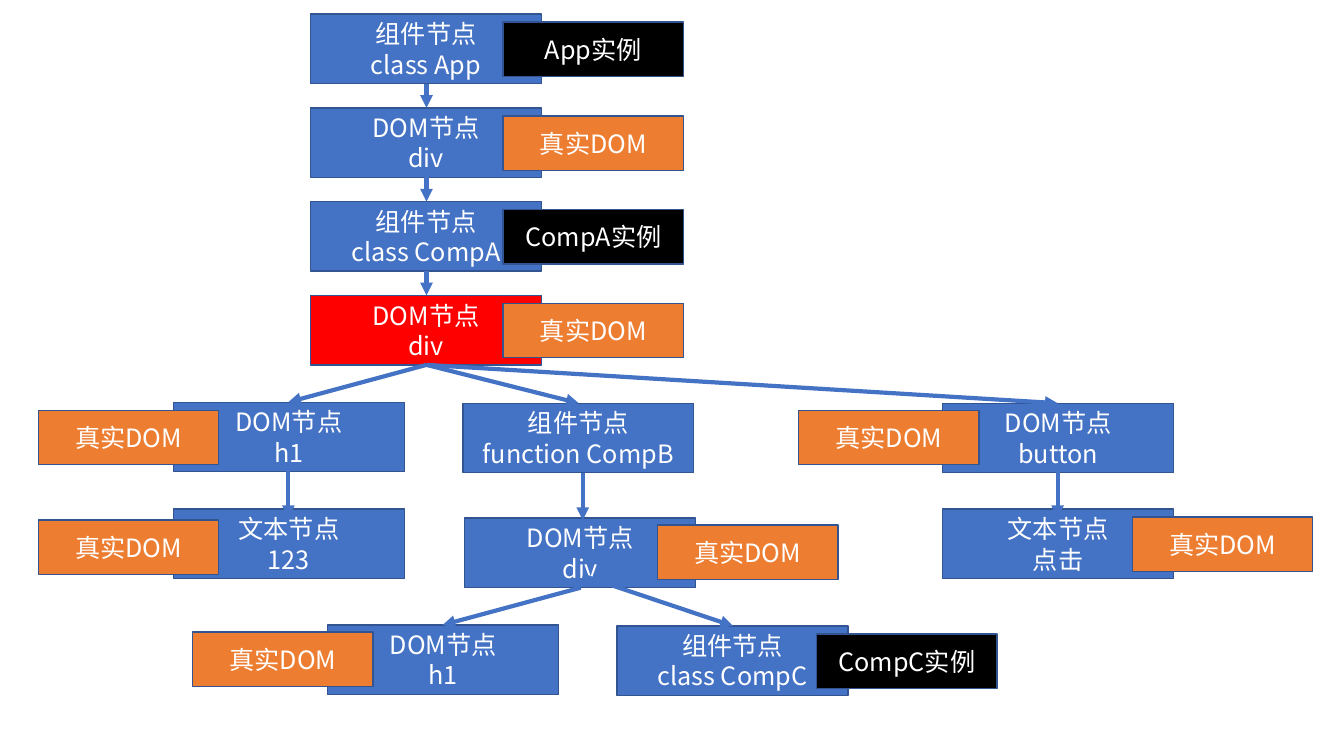
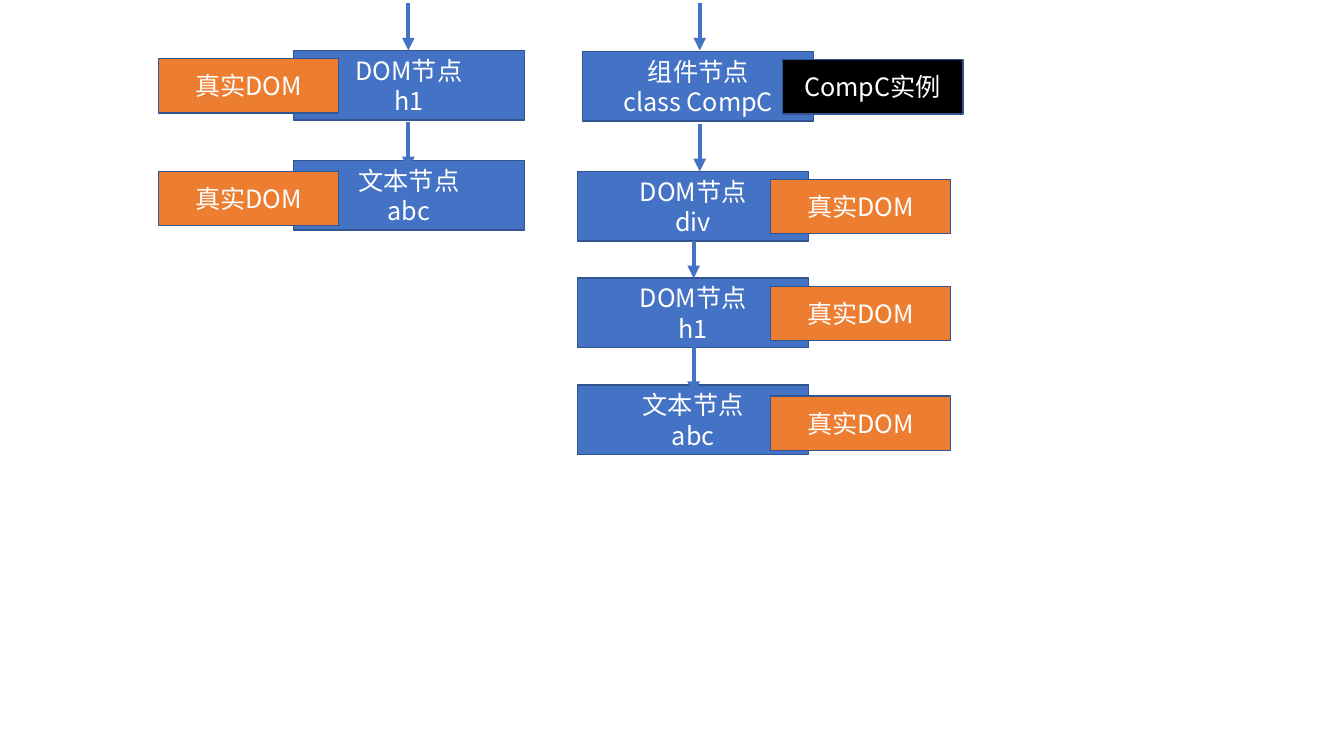
from lxml import etree
from pptx import Presentation
from pptx.dml.color import RGBColor
from pptx.enum.shapes import MSO_CONNECTOR, MSO_SHAPE
from pptx.enum.text import MSO_ANCHOR, PP_ALIGN
from pptx.oxml.ns import qn
from pptx.util import Inches, Pt

RECT = MSO_SHAPE.RECTANGLE
STRAIGHT = MSO_CONNECTOR.STRAIGHT
CENTER = PP_ALIGN.CENTER
MIDDLE = MSO_ANCHOR.MIDDLE

BLUE = RGBColor(0x44, 0x72, 0xC4)
NAVY = RGBColor(0x32, 0x54, 0x91)
RED = RGBColor(0xFF, 0x00, 0x00)
ORANGE = RGBColor(0xED, 0x7D, 0x31)
BLACK = RGBColor(0x00, 0x00, 0x00)
WHITE = RGBColor(0xFF, 0xFF, 0xFF)

COMP, DOM, TEXT = "组件节点", "DOM节点", "文本节点"
NODE_W, NODE_H = 2.29, 0.69
TAG_W, TAG_H = 1.79, 0.54


class Diagram:
    font = "Noto Sans CJK SC"
    size = Pt(18)

    def __init__(self, prs):
        self.prs = prs
        self.slide = None

    def new_slide(self):
        self.slide = self.prs.slides.add_slide(self.prs.slide_layouts[6])

    def box(self, x, y, w, h, lines, fill):
        sp = self.slide.shapes.add_shape(RECT, Inches(x), Inches(y), Inches(w), Inches(h))
        sp.shadow.inherit = False
        sp.fill.solid()
        sp.fill.fore_color.rgb = fill
        sp.line.color.rgb = NAVY
        sp.line.width = Pt(1)
        tf = sp.text_frame
        tf.word_wrap = True
        tf.vertical_anchor = MIDDLE
        for i, line in enumerate(lines):
            p = tf.add_paragraph() if i else tf.paragraphs[0]
            p.alignment = CENTER
            r = p.add_run()
            r.text = line
            r.font.size = self.size
            r.font.color.rgb = WHITE
            r.font.name = self.font
            ea = etree.SubElement(r.font._element, qn("a:ea"))
            ea.set("typeface", self.font)

    def node(self, x, y, kind, name, fill=BLUE):
        self.box(x, y, NODE_W, NODE_H, [kind, name], fill)

    def real_dom(self, x, y):
        self.box(x, y, TAG_W, TAG_H, ["真实DOM"], ORANGE)

    def instance(self, x, y, name):
        self.box(x, y, TAG_W, TAG_H, [name + "实例"], BLACK)

    def arrow(self, x1, y1, x2, y2):
        line = self.slide.shapes.add_connector(
            STRAIGHT, Inches(x1), Inches(y1), Inches(x2), Inches(y2))
        line.line.color.rgb = BLUE
        line.line.width = Pt(3)
        ln = line.line._get_or_add_ln()
        etree.SubElement(ln, qn("a:tailEnd")).set("type", "triangle")
        etree.SubElement(line._element.spPr, qn("a:effectLst"))

    def down(self, x, y, length=0.47):
        self.arrow(x, y, x, y + length)


def full_tree(d):
    d.new_slide()
    trunk_x, trunk_y, step = 3.08, 0.14, 0.93
    trunk = [
        (COMP, "class App", "App", BLUE),
        (DOM, "div", None, BLUE),
        (COMP, "class CompA", "CompA", BLUE),
        (DOM, "div", None, RED),
    ]
    for i, (kind, name, owner, fill) in enumerate(trunk):
        y = trunk_y + i * step
        d.node(trunk_x, y, kind, name, fill)
        if i:
            d.down(4.23, y - step + NODE_H, step - NODE_H)
        if owner:
            d.instance(4.99, y + 0.08, owner)
        else:
            d.real_dom(4.99, y + 0.08)

    for x, y, kind, name in [
        (1.72, 3.99, DOM, "h1"),
        (4.59, 4, COMP, "function CompB"),
        (9.35, 4, DOM, "button"),
        (1.72, 5.05, TEXT, "123"),
        (4.61, 5.14, DOM, "div"),
        (9.35, 5.05, TEXT, "点击"),
        (3.25, 6.2, DOM, "h1"),
        (6.12, 6.21, COMP, "class CompC"),
    ]:
        d.node(x, y, kind, name)

    for x, y in [(2.86, 3.99), (5.74, 4), (10.49, 4)]:
        d.arrow(4.23, 3.62, x, y)
    for x, y in [(2.86, 4.67), (5.78, 4.69), (10.49, 4.67)]:
        d.down(x, y)
    d.arrow(5.76, 5.83, 4.39, 6.2)
    d.arrow(5.78, 5.71, 7.27, 6.21)

    for x, y in [(0.38, 4.07), (7.92, 4.07), (0.38, 5.16),
                 (6.52, 5.21), (11.23, 5.13), (1.91, 6.27)]:
        d.real_dom(x, y)
    d.instance(8.1, 6.29, "CompC")


def lower_branches(d):
    d.new_slide()
    for x, y, kind, name in [
        (2.91, 0.5, DOM, "h1"),
        (2.91, 1.59, TEXT, "abc"),
        (5.78, 0.51, COMP, "class CompC"),
        (5.73, 1.7, DOM, "div"),
        (5.73, 2.76, DOM, "h1"),
        (5.73, 3.82, TEXT, "abc"),
    ]:
        d.node(x, y, kind, name)

    for x, y in [(4.05, 0.03), (4.05, 1.21), (6.94, 0.03), (6.94, 1.23), (6.88, 3.44)]:
        d.down(x, y)
    d.down(6.88, 2.39, 0.37)

    for x, y in [(1.57, 0.58), (1.57, 1.7), (7.64, 1.78), (7.64, 2.84), (7.64, 3.93)]:
        d.real_dom(x, y)
    d.instance(7.76, 0.59, "CompC")


prs = Presentation()
prs.slide_width = Inches(13.33)
prs.slide_height = Inches(7.5)
diagram = Diagram(prs)
full_tree(diagram)
lower_branches(diagram)
prs.save("out.pptx")
